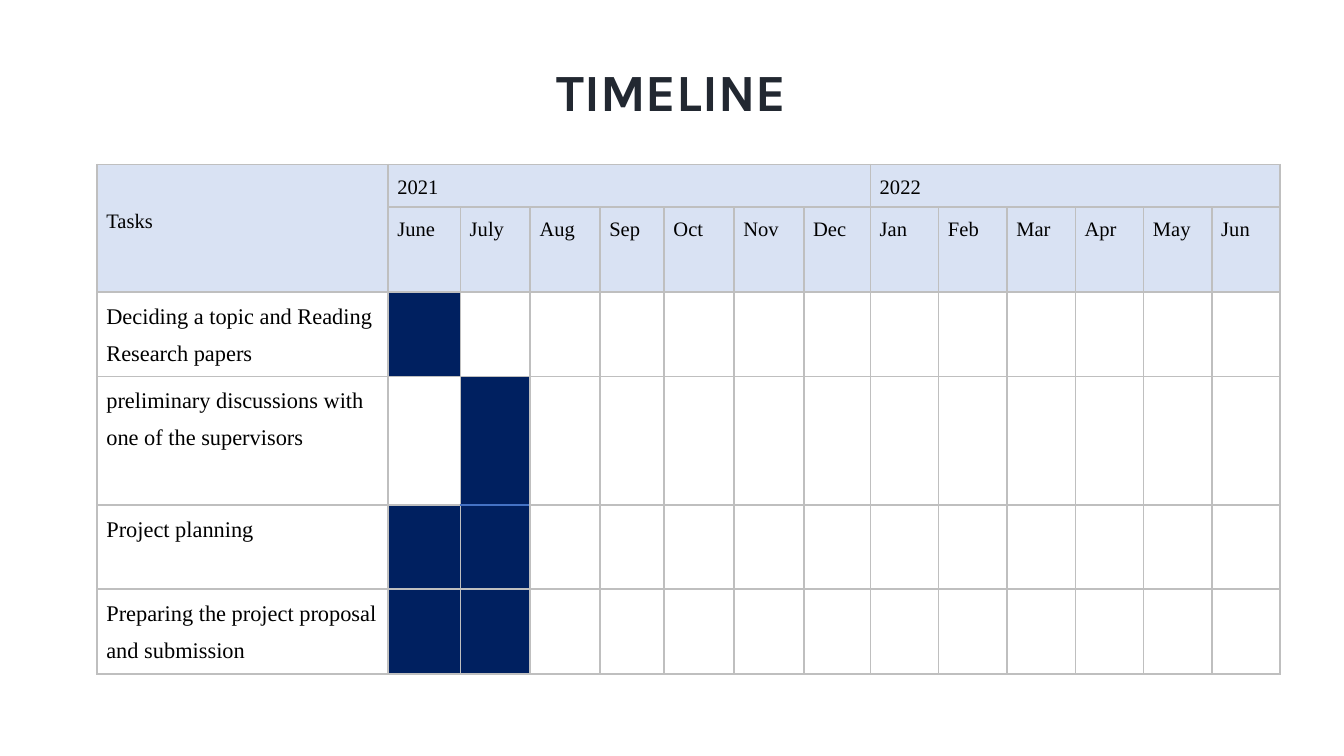
from lxml import etree
from pptx import Presentation, util as u
from pptx.dml.color import RGBColor
from pptx.enum import text
from pptx.oxml.ns import qn

INK, BLACK = "222831", "000000"
HEADER, BUSY, GRID, ACCENT = "D9E2F3", "002060", "BFBFBF", "4472C4"

YEARS = [("2021", 1, 7), ("2022", 8, 13)]
MONTHS = "June July Aug Sep Oct Nov Dec Jan Feb Mar Apr May Jun".split()
TASKS = [
    ("Deciding a topic and Reading Research papers", ["June"]),
    ("preliminary discussions with one of the supervisors", ["July"]),
    ("Project planning", ["June", "July"]),
    ("Preparing the project proposal and submission", ["June", "July"]),
]
COLUMNS = [155.9, 38.8, 37.4, 37.4, 34.4, 37.4, 37.4, 35.7] + [36.6] * 6
ROWS = [22.8, 45.3, 45.3, 68.8, 45.3, 45.3]
# The line between these two busy cells has the accent colour.
ACCENT_SIDES = {(3, 2): "B", (4, 2): "T"}


def colour(value):
    return RGBColor.from_string(value)


def assign(target, values):
    for name, value in values.items():
        setattr(target, name, value)


def write(frame, words, font, size, ink, bold=False, **layout):
    para = frame.paragraphs[0]
    assign(para, layout)
    span = para.add_run()
    span.text = words
    assign(span.font, {"name": font, "size": u.Pt(size), "bold": bold})
    span.font.color.rgb = colour(ink)


def draw_borders(cell, accent_side):
    properties = cell._tc.get_or_add_tcPr()
    for index, side in enumerate("LRTB"):
        line = etree.Element(qn(f"a:ln{side}"), w=str(u.Pt(1)))
        fill = etree.SubElement(line, qn("a:solidFill"))
        value = ACCENT if side == accent_side else GRID
        etree.SubElement(fill, qn("a:srgbClr"), val=value)
        properties.insert(index, line)


def add_title(page, left, top, width, height):
    frame = page.shapes.add_textbox(*map(u.Pt, (left, top, width, height))).text_frame
    assign(frame, {"word_wrap": True, "vertical_anchor": text.MSO_ANCHOR.MIDDLE})
    write(frame, "TIMELINE", "Karla", 28, INK, True, alignment=text.PP_ALIGN.CENTER)


def add_timeline(page, left, top):
    box = map(u.Pt, (left, top, sum(COLUMNS), sum(ROWS)))
    table = page.shapes.add_table(len(ROWS), len(COLUMNS), *box).table
    assign(table, {"first_row": False, "horz_banding": False})
    for column, width in zip(table.columns, COLUMNS):
        column.width = u.Pt(width)
    for row, height in zip(table.rows, ROWS):
        row.height = u.Pt(height)

    for r in range(len(ROWS)):
        for c in range(len(COLUMNS)):
            cell = table.cell(r, c)
            assign(cell, {"margin_left": u.Pt(5), "margin_right": u.Pt(5),
                          "margin_top": 0, "margin_bottom": 0})
            busy = r > 1 and c > 0 and MONTHS[c - 1] in TASKS[r - 2][1]
            if r < 2 or busy:
                cell.fill.solid()
                cell.fill.fore_color.rgb = colour(BUSY if busy else HEADER)
            else:
                cell.fill.background()
            draw_borders(cell, ACCENT_SIDES.get((r, c)))

    def label(r, c, words, size, alignment):
        write(table.cell(r, c).text_frame, words, "Times New Roman", size, BLACK,
              alignment=alignment, line_spacing=1.5)

    justify = text.PP_ALIGN.JUSTIFY
    table.cell(0, 0).merge(table.cell(1, 0))
    table.cell(0, 0).margin_top = u.Pt(18.5)
    label(0, 0, "Tasks", 11, justify)
    for year, first, last in YEARS:
        table.cell(0, first).merge(table.cell(0, last))
        label(0, first, year, 11, justify)
    for c, month in enumerate(MONTHS, 1):
        label(1, c, month, 11, justify)
    for r, (task, _) in enumerate(TASKS, 2):
        label(r, 0, task, 12, text.PP_ALIGN.LEFT)


def main():
    deck = Presentation()
    assign(deck, {"slide_width": u.Pt(720), "slide_height": u.Pt(405)})
    page = deck.slides.add_slide(deck.slide_layouts[6])
    add_title(page, 171.4, 29.5, 376.6, 38.2)
    add_timeline(page, 52, 88.2)
    deck.save("out.pptx")


if __name__ == "__main__":
    main()
